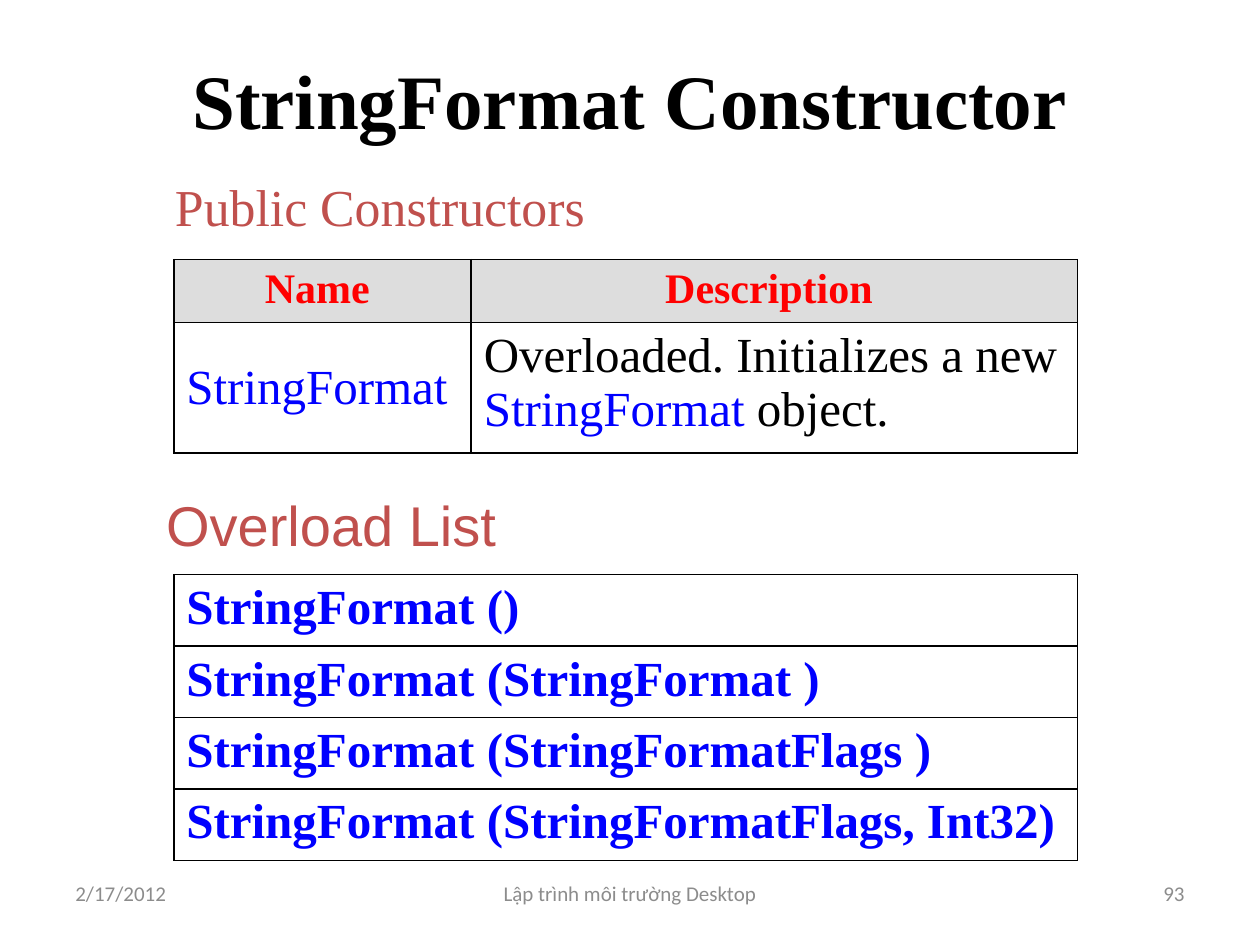
from lxml import etree
from pptx import Presentation
from pptx.dml.color import RGBColor
from pptx.enum.text import MSO_ANCHOR as Anchor, PP_ALIGN as Align
from pptx.oxml.ns import qn
from pptx.util import Inches, Pt

SERIF, SANS, FOOTER = "Times New Roman", "Arial", "Calibri"
BLACK, RED, BLUE = "000000", "FF0000", "0000FF"
HEADING, HEADER_FILL, GREY = "C0504D", "DDDDDD", "8C8C8C"

# Layout in inches; row heights are minimums that grow to fit their text
WIDTH, HEIGHT, MARGIN = 10, 7.5, 0.5
TABLE_LEFT, TABLE_WIDTH, NAME_WIDTH = 1.38, 7.17, 2.36
HEADER_ROW, LINE_ROW, DOUBLE_ROW = 0.3, 0.47, 0.68
FOOTER_TOP, FOOTER_HEIGHT, SIDE_WIDTH, CENTRE_WIDTH = 6.83, 0.52, 2.33, 3.17


def color(hex_code):
    return RGBColor.from_string(hex_code)


def style(font, size, hex_code, name=SERIF, bold=False):
    font.name, font.size, font.bold = name, Pt(size), bold
    font.color.rgb = color(hex_code)


def add_text(slide, box, text, size, hex_code, name=SERIF, bold=False,
             align=Align.LEFT, anchor=Anchor.MIDDLE):
    frame = slide.shapes.add_textbox(*map(Inches, box)).text_frame
    frame.word_wrap = True
    frame.vertical_anchor = anchor
    paragraph = frame.paragraphs[0]
    paragraph.text, paragraph.alignment = text, align
    style(paragraph.font, size, hex_code, name, bold)
    return paragraph


def add_heading(slide, box, text, size, name, line_spacing):
    heading = add_text(slide, box, text, size, HEADING, name, anchor=Anchor.TOP)
    heading.line_spacing = line_spacing
    heading.space_before = Pt(size * 0.2)


def add_borders(cell):
    """Draw a thin black line on all four sides; lines precede the fill."""
    properties = cell._tc.get_or_add_tcPr()
    for position, side in enumerate(("a:lnL", "a:lnR", "a:lnT", "a:lnB")):
        line = etree.Element(qn(side), w=str(Pt(1)))
        fill = etree.SubElement(line, qn("a:solidFill"))
        etree.SubElement(fill, qn("a:srgbClr"), val=BLACK)
        properties.insert(position, line)


def add_grid(slide, top, columns, rows):
    """Add a plain bordered table with the given column widths and row heights."""
    table = slide.shapes.add_table(
        len(rows), len(columns), Inches(TABLE_LEFT), Inches(top),
        Inches(sum(columns)), Inches(sum(rows))).table
    table.first_row = table.horz_banding = False
    for column, width in zip(table.columns, columns):
        column.width = Inches(width)
    for row, height in zip(table.rows, rows):
        row.height = Inches(height)
    for cell in table.iter_cells():
        cell.fill.background()
        add_borders(cell)
    return table


def fill_cell(cell, text, size, hex_code, bold=False, align=Align.LEFT):
    paragraph = cell.text_frame.paragraphs[0]
    paragraph.text, paragraph.alignment = text, align
    style(paragraph.font, size, hex_code, bold=bold)


def add_constructors(slide):
    table = add_grid(slide, 2.06, [NAME_WIDTH, TABLE_WIDTH - NAME_WIDTH],
                     [HEADER_ROW, DOUBLE_ROW])
    for column, label in enumerate(("Name ", "Description ")):
        header = table.cell(0, column)
        header.fill.solid()
        header.fill.fore_color.rgb = color(HEADER_FILL)
        fill_cell(header, label, 24, RED, True, Align.CENTER)

    name, description = table.cell(1, 0), table.cell(1, 1)
    name.vertical_anchor = Anchor.MIDDLE
    fill_cell(name, "StringFormat", 28, BLUE)
    paragraph = description.text_frame.paragraphs[0]
    for text, hex_code in (("Overloaded. Initializes a new ", BLACK),
                           ("StringFormat", BLUE), (" object.", BLACK)):
        run = paragraph.add_run()
        run.text = text
        style(run.font, 28, hex_code)


def add_overloads(slide):
    arguments = ("()", "(StringFormat )", "(StringFormatFlags )",
                 "(StringFormatFlags, Int32)")
    table = add_grid(slide, 4.56, [TABLE_WIDTH], [LINE_ROW] * len(arguments))
    for row, argument in enumerate(arguments):
        fill_cell(table.cell(row, 0), f"StringFormat {argument}", 28, BLUE, True)


def add_footer(slide):
    parts = (
        (MARGIN, SIDE_WIDTH, "2/17/2012", Align.LEFT),
        ((WIDTH - CENTRE_WIDTH) / 2, CENTRE_WIDTH,
         "Lập trình môi trường Desktop", Align.CENTER),
        (WIDTH - MARGIN - SIDE_WIDTH, SIDE_WIDTH, "93", Align.RIGHT),
    )
    for left, width, text, align in parts:
        add_text(slide, (left, FOOTER_TOP, width, FOOTER_HEIGHT), text, 12,
                 GREY, FOOTER, align=align)


def main():
    deck = Presentation()
    deck.slide_width, deck.slide_height = Inches(WIDTH), Inches(HEIGHT)
    slide = deck.slides.add_slide(deck.slide_layouts[6])

    # Title
    add_text(slide, (MARGIN, 0.16, WIDTH - 2 * MARGIN, 1.25),
             "StringFormat Constructor", 44, BLACK, bold=True,
             align=Align.CENTER)

    # Constructor summary
    add_heading(slide, (1.29, 1.51, 4.42, 0.66), "Public Constructors",
                29.6, SERIF, 0.6)
    add_constructors(slide)

    # Overloads
    add_heading(slide, (1.22, 3.95, 4.02, 0.66), "Overload List", 32, SANS, 0.8)
    add_overloads(slide)

    # Date, course and page number
    add_footer(slide)
    deck.save("out.pptx")


if __name__ == "__main__":
    main()
